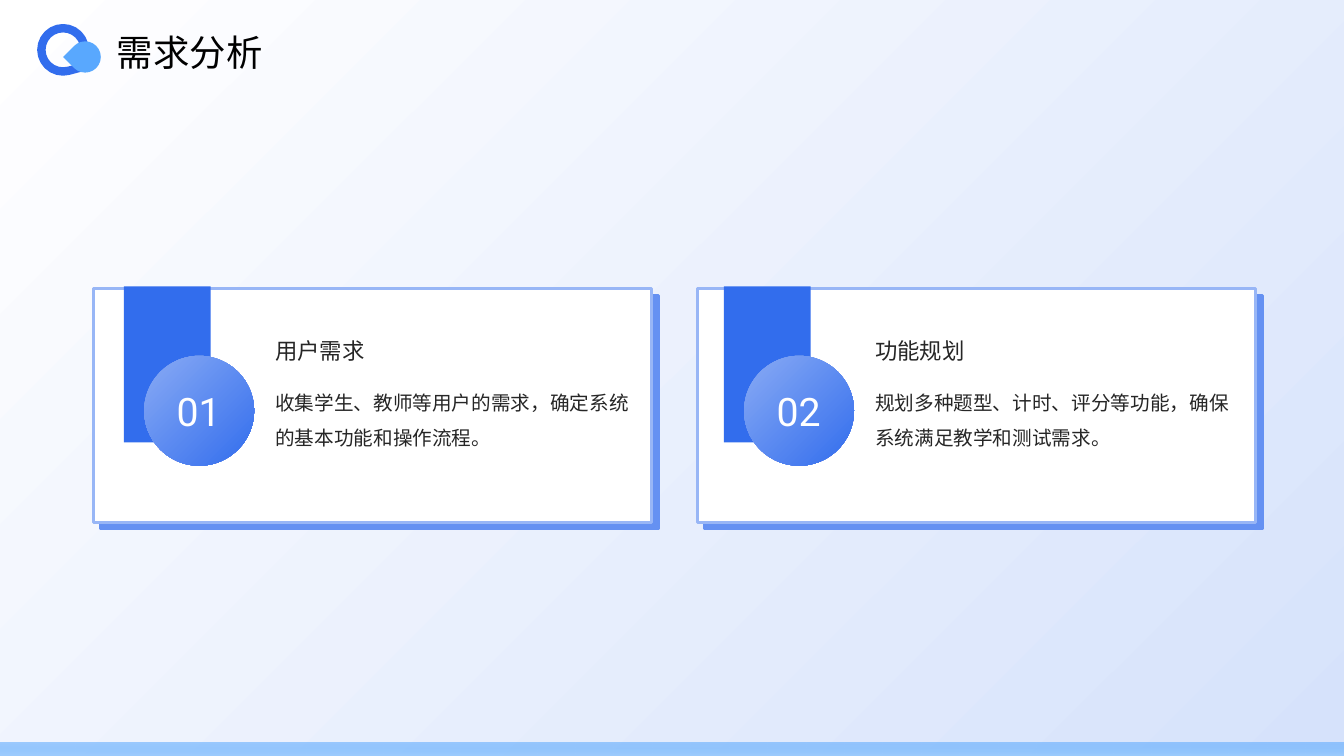
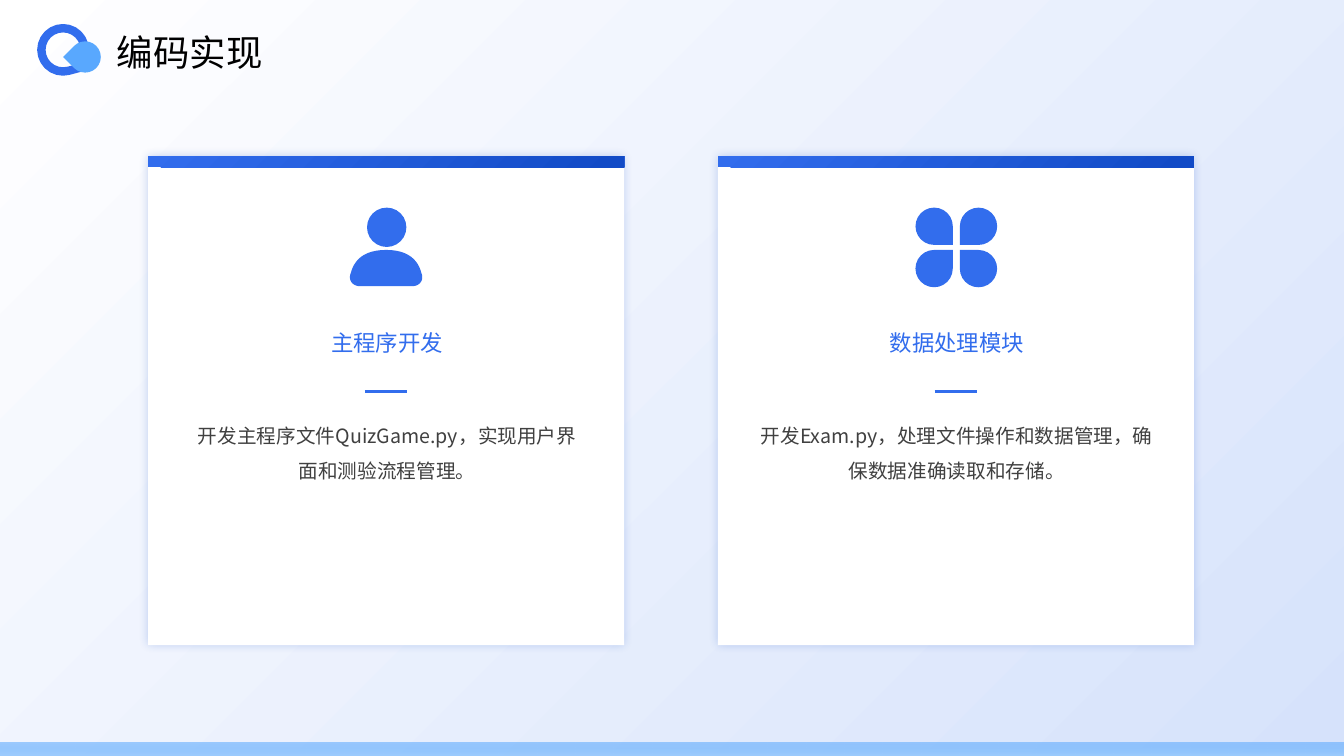
from dataclasses import dataclass
from typing import Callable, Optional

from lxml import etree
from pptx import Presentation
from pptx.dml.color import RGBColor
from pptx.enum import shapes, text
from pptx.oxml.ns import qn
from pptx.util import Inches, Pt

CJK = "Noto Sans CJK SC"
LATIN = "Roboto"
WHITE = "FFFFFF"
BLACK = "000000"
BLUE = "326DED"
DEEP_BLUE = "114AC6"
SKY = "59A8FE"
DARK = "262626"
GREY = "404040"

SHAPE = shapes.MSO_SHAPE
ALIGN = text.PP_ALIGN
ANCHOR = text.MSO_ANCHOR


@dataclass(frozen=True)
class Gradient:
    start: str
    end: str
    angle: int
    start_at: float = 0
    end_at: float = 1


@dataclass(frozen=True)
class Shadow:
    color: str
    alpha: int
    blur: float
    distance: float
    angle: int


@dataclass(frozen=True)
class Need:
    card_x: float
    tab_x: float
    number: str
    heading: str
    body: str


@dataclass(frozen=True)
class Module:
    x: float
    heading: str
    body: str
    icon: Callable


PAGE = Gradient(WHITE, "D6E2FB", 45)
FOOTER = Gradient("9BCBFE", SKY, 270)
BADGE = Gradient("84A7F4", BLUE, 45, start_at=0.06)
BAND = Gradient(BLUE, DEEP_BLUE, 45, end_at=0.98)
HARD_SHADOW = Shadow("6591F2", 100, 0, 7, 45)
SOFT_SHADOW = Shadow(DEEP_BLUE, 24, 7, 0, 0)


def rgb(color: str) -> RGBColor:
    return RGBColor.from_string(color)


def set_fill(fill, paint) -> None:
    if paint is None:
        fill.background()
    elif isinstance(paint, Gradient):
        fill.gradient()
        fill.gradient_angle = (360 - paint.angle) % 360
        first, last = fill.gradient_stops
        first.position, last.position = paint.start_at, paint.end_at
        first.color.rgb, last.color.rgb = rgb(paint.start), rgb(paint.end)
    else:
        fill.solid()
        fill.fore_color.rgb = rgb(paint)


def set_alpha(color_element, percent: int) -> None:
    etree.SubElement(color_element, qn("a:alpha"), val=str(percent * 1000))


def style_shape(sp, paint, line: Optional[str] = None, weight: float = 1,
                shadow: Optional[Shadow] = None) -> None:
    set_fill(sp.fill, paint)
    set_fill(sp.line.fill, line)
    if line:
        sp.line.width = Pt(weight)
    sp.shadow.inherit = False
    if shadow:
        effects = sp._element.spPr.find(qn("a:effectLst"))
        outer = etree.SubElement(
            effects, qn("a:outerShdw"), blurRad=str(Pt(shadow.blur)),
            dist=str(Pt(shadow.distance)), dir=str(shadow.angle * 60000),
            algn="ctr", rotWithShape="0")
        set_alpha(etree.SubElement(outer, qn("a:srgbClr"), val=shadow.color),
                  shadow.alpha)


def add_shape(slide, kind, x: float, y: float, w: float, h: float, paint,
              rotation: float = 0, **style):
    sp = slide.shapes.add_shape(kind, Inches(x), Inches(y), Inches(w), Inches(h))
    sp.rotation = rotation
    style_shape(sp, paint, **style)
    return sp


def write(tf, content: str, size: float, color: str, font: str = CJK,
          align=ALIGN.LEFT, spacing: float = 1.0) -> None:
    p = tf.paragraphs[0]
    p.text = content
    p.alignment = align
    p.line_spacing = spacing
    p.font.size = Pt(size)
    p.font.name = font
    p.font.color.rgb = rgb(color)
    latin = p._p.pPr.find(qn("a:defRPr")).find(qn("a:latin"))
    latin.addnext(latin.makeelement(qn("a:ea"), {"typeface": font}))


def add_text(slide, x: float, y: float, w: float, h: float, content: str,
             size: float, color: str, anchor=ANCHOR.TOP, **style) -> None:
    box = slide.shapes.add_textbox(Inches(x), Inches(y), Inches(w), Inches(h))
    tf = box.text_frame
    tf.word_wrap = True
    tf.vertical_anchor = anchor
    tf.margin_left = tf.margin_right = tf.margin_top = tf.margin_bottom = 0
    write(tf, content, size, color, **style)


def add_slide(prs, title: str):
    slide = prs.slides.add_slide(prs.slide_layouts[5])
    bar = add_shape(slide, SHAPE.RECTANGLE, 0, 7.37, 13.33, 0.13, FOOTER)
    set_alpha(list(bar._element.spPr.iter(qn("a:srgbClr")))[-1], 53)
    add_shape(slide, SHAPE.TEAR, 0.41, 0.28, 0.43, 0.43, None, 75,
              line=BLUE, weight=6)
    add_shape(slide, SHAPE.TEAR, 0.69, 0.41, 0.31, 0.31, SKY, 225)
    sp = slide.shapes.title
    sp.left, sp.top = Inches(1.06), Inches(0.25)
    sp.width, sp.height = Inches(11.66), Inches(0.54)
    tf = sp.text_frame
    tf.auto_size = text.MSO_AUTO_SIZE.NONE
    tf.vertical_anchor = ANCHOR.MIDDLE
    write(tf, title, 26, BLACK)
    return slide


def draw_need(slide, need: Need) -> None:
    x = need.tab_x
    add_shape(slide, SHAPE.RECTANGLE, need.card_x, 2.86, 5.53, 2.32, WHITE,
              line="98B6F6", weight=2, shadow=HARD_SHADOW)
    add_shape(slide, SHAPE.RECTANGLE, x, 2.84, 0.86, 1.55, BLUE)
    add_shape(slide, SHAPE.OVAL, x + 0.2, 3.53, 1.09, 1.09, BADGE)
    add_text(slide, x + 0.11, 3.64, 1.26, 0.82, need.number, 28, WHITE,
             ANCHOR.MIDDLE, font=LATIN, align=ALIGN.CENTER, spacing=1.1)
    add_text(slide, x + 1.5, 3.02, 3.43, 0.59, need.heading, 16, DARK,
             ANCHOR.BOTTOM, spacing=1.5)
    add_text(slide, x + 1.5, 3.76, 3.56, 1.27, need.body, 14, DARK, spacing=1.5)


def curve(points, steps: int = 12):
    for i in range(1, steps + 1):
        t = i / steps
        weights = ((1 - t) ** 3, 3 * t * (1 - t) ** 2, 3 * t * t * (1 - t), t ** 3)
        yield tuple(sum(k * pt[axis] for k, pt in zip(weights, points))
                    for axis in (0, 1))


def person_icon(slide, cx: float) -> None:
    add_shape(slide, SHAPE.OVAL, cx - 0.19, 2.06, 0.39, 0.39, BLUE)
    shoulder = [(0, 2.48), (0.23, 2.48), (0.32, 2.59), (0.35, 2.71)]
    corner = [(0.35, 2.71), (0.38, 2.78), (0.33, 2.84), (0.26, 2.84)]
    right = [*curve(shoulder), *curve(corner)]
    outline = right + [(-dx, y) for dx, y in reversed(right)]
    builder = slide.shapes.build_freeform(Inches(cx), Inches(2.48))
    builder.add_line_segments([(Inches(cx + dx), Inches(y)) for dx, y in outline])
    style_shape(builder.convert_to_shape(), BLUE)


def petals_icon(slide, cx: float) -> None:
    for dx, y, rotation in ((-0.4, 2.06, 90), (0.04, 2.06, 180),
                            (-0.4, 2.48, 0), (0.04, 2.48, 270)):
        add_shape(slide, SHAPE.TEAR, cx + dx, y, 0.37, 0.37, BLUE, rotation)


def draw_module(slide, module: Module) -> None:
    x, width = module.x, 4.72
    cx = x + width / 2
    add_shape(slide, SHAPE.RECTANGLE, x, 1.55, width, 4.85, WHITE,
              shadow=SOFT_SHADOW)
    add_shape(slide, SHAPE.RECTANGLE, x, 1.55, width, 0.11, BAND)
    module.icon(slide, cx)
    add_text(slide, x + 0.4, 2.96, 3.94, 0.79, module.heading, 16, BLUE,
             ANCHOR.MIDDLE, align=ALIGN.CENTER, spacing=1.3)
    add_text(slide, x + 0.4, 4.09, 3.94, 1.89, module.body, 14, GREY,
             align=ALIGN.CENTER, spacing=1.5)
    rule = slide.shapes.add_connector(
        shapes.MSO_CONNECTOR.STRAIGHT, Inches(cx - 0.21), Inches(3.88),
        Inches(cx + 0.21), Inches(3.88))
    rule.line.color.rgb = rgb(BLUE)
    rule.line.width = Pt(2.25)
    etree.SubElement(rule._element.spPr, qn("a:effectLst"))


NEEDS = (
    Need(0.93, 1.23, "01", "用户需求",
         "收集学生、教师等用户的需求，确定系统的基本功能和操作流程。"),
    Need(6.92, 7.18, "02", "功能规划",
         "规划多种题型、计时、评分等功能，确保系统满足教学和测试需求。"),
)
MODULES = (
    Module(1.47, "主程序开发",
           "开发主程序文件QuizGame.py，实现用户界面和测验流程管理。", person_icon),
    Module(7.12, "数据处理模块",
           "开发Exam.py，处理文件操作和数据管理，确保数据准确读取和存储。", petals_icon),
)


def main() -> None:
    prs = Presentation()
    prs.slide_width, prs.slide_height = Inches(13.33), Inches(7.5)
    set_fill(prs.slide_master.background.fill, PAGE)
    slide = add_slide(prs, "需求分析")
    for need in NEEDS:
        draw_need(slide, need)
    slide = add_slide(prs, "编码实现")
    for module in MODULES:
        draw_module(slide, module)
    prs.save("out.pptx")


if __name__ == "__main__":
    main()
